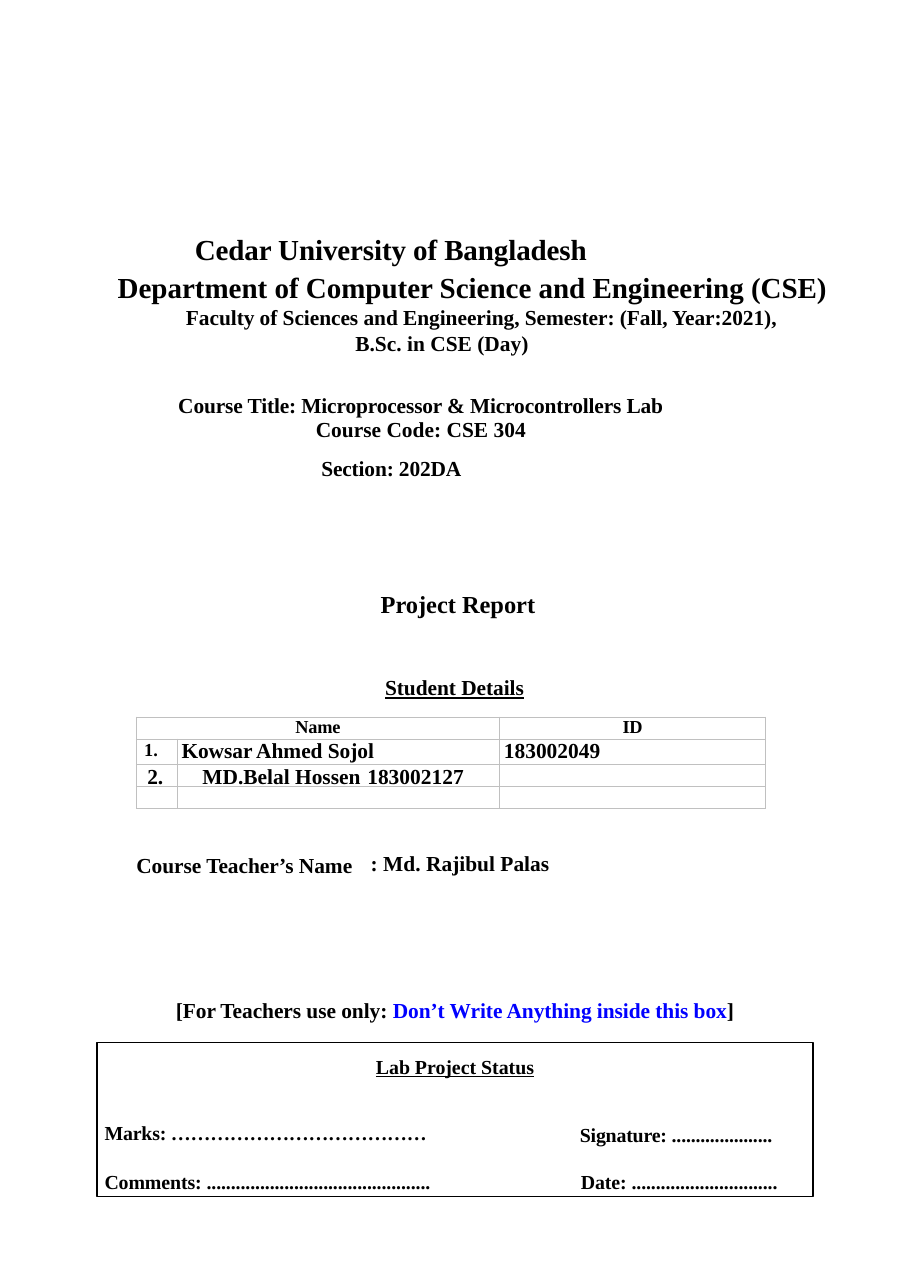
"""Build the cover page of a lab project report."""
from dataclasses import dataclass

from lxml import etree
from pptx import Presentation
from pptx.dml.color import RGBColor
from pptx.enum.shapes import MSO_SHAPE
from pptx.enum.text import MSO_ANCHOR, MSO_AUTO_SIZE, PP_ALIGN
from pptx.oxml.ns import qn
from pptx.util import Inches, Pt

LEFT, CENTER = PP_ALIGN.LEFT, PP_ALIGN.CENTER
TOP = MSO_ANCHOR.TOP
FIXED = MSO_AUTO_SIZE.NONE
RECT = MSO_SHAPE.RECTANGLE
FONT = "Times New Roman"
COLORS = {"ink": "000000", "note": "0000FF", "grid": "C0C0C0"}


@dataclass
class Line:
    """One paragraph; its parts may be (text, color) pairs."""
    text: str | tuple
    size: float = 14
    indent: float = 0
    before: float = 0
    pitch: float = 0
    align: PP_ALIGN = LEFT
    under: bool = False
    track: int = -10
    tabs: tuple = ()


@dataclass
class Box:
    """A text box with its place and insets in inches."""
    left: float
    top: float
    width: float
    height: float
    lines: list
    inset: float = 0.01
    side: float = 0


BOXES = [
    Box(-0.45, 2.09, 9.25, 2.96, [
        Line("Cedar University of Bangladesh", 19, 2.22, 2.4, 22, track=-5),
        Line("Department of Computer Science and Engineering (CSE)",
             19, 1.52, 2.4, 22, track=0),
        Line("Faculty of Sciences and Engineering, Semester: (Fall, Year:2021),",
             indent=2.14, pitch=16.6, track=-5),
        Line("B.Sc. in CSE (Day)", indent=3.68, before=0.2, track=0),
        Line("Course Title: Microprocessor & Microcontrollers Lab",
             indent=2.07, before=24.6, pitch=16),
        Line("Course Code: CSE 304", indent=3.32, pitch=16, track=0),
        Line("Section: 202DA", indent=3.37, before=8.8),
    ], 0.03),
    Box(3.49, 6.12, 1.28, 0.26, [
        Line("Student Details", indent=0.01, before=1, under=True, track=-5)]),
    Box(1.23, 7.73, 2, 0.26, [
        Line("Course Teacher’s Name", indent=0.01, before=2.2, pitch=16,
             track=-5)], 0.03),
    Box(3.36, 7.72, 2.98, 0.25, [
        Line(": Md. Rajibul Palas", indent=0.01, before=1, track=0)]),
    Box(1.58, 9.06, 5.11, 0.75, [
        Line((("[For Teachers use only: ", "ink"),
              ("Don’t Write Anything inside this box", "note"),
              ("]", "ink")), before=1, align=CENTER, track=-7),
        Line("Lab Project Status", 13, before=20.2, align=CENTER,
             under=True, track=0),
    ]),
    Box(0.95, 10.18, 2.95, 0.24, [Line("Marks: " + "…" * 13, 13, before=1)]),
    Box(5.27, 10.2, 1.79, 0.24, [Line("Signature: " + "." * 21, 13, before=1)]),
    Box(0.95, 10.62, 2.98, 0.24, [
        Line("Comments: " + "." * 46, 13, before=1, track=-7)]),
    Box(5.28, 10.62, 1.81, 0.24, [
        Line("Date: " + "." * 30, 13, before=1, track=-7)]),
    Box(1.24, 6.89, 5.08, 0.34, [
        Line("2.\tMD.Belal Hossen\t183002127", track=0, tabs=(0.34, 3.29))],
        0.05, 0.1),
]

COLS = [0.37, 2.93, 2.42]
ROWS = [0.2, 0.23, 0.2, 0.2]
HEAD = dict(size=12, pitch=13.4, align=CENTER)
BLANK = [Line("", **HEAD) for _ in COLS]
CELLS = [
    [Line("Name", **HEAD), Line("", **HEAD), Line("ID", **HEAD)],
    [Line("1.", 12, 0.07, pitch=14.2, track=0),
     Line("Kowsar Ahmed Sojol", indent=0.04, pitch=15.8, track=-5),
     Line("183002049", indent=0.04, pitch=15.8, track=0)],
    BLANK,
    BLANK,
]


def tint(name: str) -> RGBColor:
    """Look up a named color."""
    return RGBColor.from_string(COLORS[name])


def write(frame, lines: list) -> None:
    """Fill a text frame with formatted lines."""
    for i, line in enumerate(lines):
        para = frame.add_paragraph() if i else frame.paragraphs[0]
        para.alignment = line.align
        para.space_before = Pt(line.before)
        para.line_spacing = Pt(line.pitch) if line.pitch else 1.0
        font = para.font
        font.name, font.size, font.bold = FONT, Pt(line.size), True
        font.color.rgb = tint("ink")
        if line.under:
            font.underline = True
        props = para._p.get_or_add_pPr()
        props.set("marL", str(Inches(line.indent)))
        props.set("indent", "0")
        base = props.find(qn("a:defRPr"))
        base.set("spc", str(line.track))
        if line.tabs:
            stops = etree.Element(qn("a:tabLst"))
            base.addprevious(stops)
            for stop in line.tabs:
                etree.SubElement(stops, qn("a:tab"),
                                 pos=str(Inches(stop)), algn="l")
        if isinstance(line.text, tuple):
            for text, color in line.text:
                run = para.add_run()
                run.text = text
                run.font.color.rgb = tint(color)
        elif line.text:
            para.add_run().text = line.text


def add_box(slide, box: Box) -> None:
    """Draw one text box."""
    place = map(Inches, (box.left, box.top, box.width, box.height))
    frame = slide.shapes.add_textbox(*place).text_frame
    frame.word_wrap = True
    frame.margin_left = frame.margin_right = Inches(box.side)
    frame.margin_top, frame.margin_bottom = Inches(box.inset), 0
    write(frame, box.lines)


def add_edges(cell) -> None:
    """Give a cell thin grey borders."""
    props = cell._tc.get_or_add_tcPr()
    for i, side in enumerate(("lnL", "lnR", "lnT", "lnB")):
        edge = etree.Element(qn(f"a:{side}"), w=str(Pt(0.75)))
        fill = etree.SubElement(edge, qn("a:solidFill"))
        etree.SubElement(fill, qn("a:srgbClr"), val=COLORS["grid"])
        props.insert(i, edge)


def add_names(slide) -> None:
    """Draw the table of students."""
    place = map(Inches, (1.24, 6.52, sum(COLS), sum(ROWS)))
    table = slide.shapes.add_table(len(ROWS), len(COLS), *place).table
    table.first_row = table.horz_banding = False
    for col, width in zip(table.columns, COLS):
        col.width = Inches(width)
    for row, height, lines in zip(table.rows, ROWS, CELLS):
        row.height = Inches(height)
        for cell, line in zip(row.cells, lines):
            cell.margin_left = cell.margin_right = 0
            cell.margin_top = cell.margin_bottom = 0
            cell.fill.background()
            add_edges(cell)
            write(cell.text_frame, [line])
    table.cell(0, 0).merge(table.cell(0, 1))


def add_title(slide) -> None:
    """Place the report title."""
    title = slide.shapes.title
    title.left, title.top = Inches(3.36), Inches(5.31)
    title.width, title.height = Inches(1.63), Inches(0.37)
    frame = title.text_frame
    frame.word_wrap, frame.auto_size = False, FIXED
    frame.vertical_anchor = TOP
    write(frame, [Line("Project Report", 16, track=0)])


def add_frame(slide) -> None:
    """Outline the area for teachers."""
    place = map(Inches, (0.88, 9.48, 6.51, 1.4))
    frame = slide.shapes.add_shape(RECT, *place)
    frame.shadow.inherit = False
    frame.fill.background()
    frame.line.color.rgb = tint("ink")
    frame.line.width = Pt(1)


def main() -> None:
    """Build and save the page."""
    deck = Presentation()
    deck.slide_width, deck.slide_height = Inches(8.28), Inches(11.71)
    slide = deck.slides.add_slide(deck.slide_layouts[5])
    add_title(slide)
    add_names(slide)
    for box in BOXES:
        add_box(slide, box)
    add_frame(slide)
    deck.save("out.pptx")


if __name__ == "__main__":
    main()
